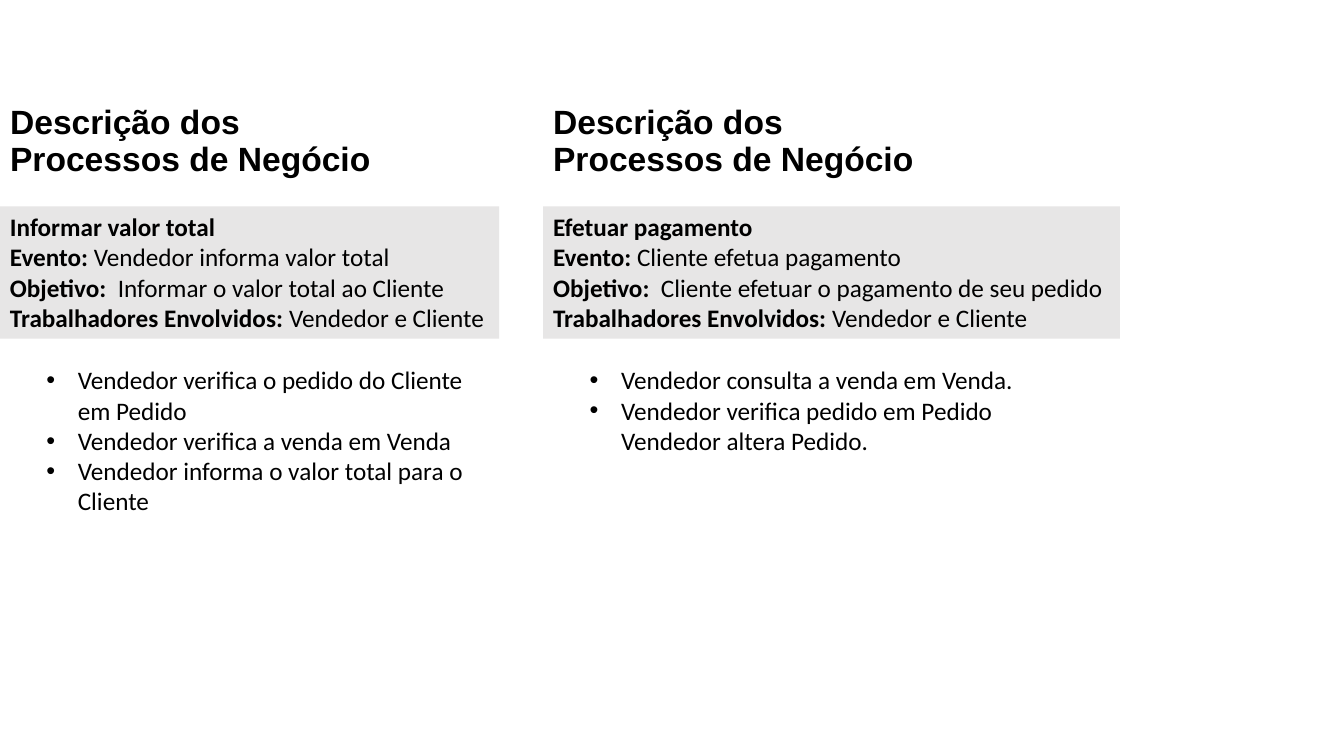
from dataclasses import dataclass

from lxml.etree import SubElement
from pptx import Presentation
from pptx.dml.color import RGBColor
from pptx.enum.shapes import MSO_SHAPE as Shape
from pptx.enum.text import MSO_ANCHOR as Anchor, MSO_AUTO_SIZE as AutoSize, PP_ALIGN as Align
from pptx.oxml.ns import qn
from pptx.util import Pt


@dataclass(frozen=True)
class Theme:
    ink: RGBColor = RGBColor(0x00, 0x00, 0x00)
    panel: RGBColor = RGBColor(0xE7, 0xE6, 0xE6)
    heading_font: str = "Arial"
    body_font: str = "Calibri"
    heading_size: Pt = Pt(24)
    body_size: Pt = Pt(18)


THEME = Theme()
HEADING = "Descrição dos\nProcessos de Negócio"
STEP_INDENT = Pt(22.5)

# Left edge, panel width, summary and steps of each process
PROCESSES = [
    {
        "left": 0,
        "panel_width": 356.5,
        "summary": [
            ("Informar valor total", ""),
            ("Evento: ", "Vendedor informa valor total"),
            ("Objetivo:  ", "Informar o valor total ao Cliente"),
            ("Trabalhadores Envolvidos: ", "Vendedor e Cliente"),
        ],
        "steps": [
            "Vendedor verifica o pedido do Cliente em Pedido",
            "Vendedor verifica a venda em Venda",
            "Vendedor informa o valor total para o Cliente",
        ],
        "steps_height": 138,
    },
    {
        "left": 388,
        "panel_width": 412,
        "summary": [
            ("Efetuar pagamento", ""),
            ("Evento: ", "Cliente efetua pagamento"),
            ("Objetivo:  ", "Cliente efetuar o pagamento de seu pedido"),
            ("Trabalhadores Envolvidos: ", "Vendedor e Cliente"),
        ],
        "steps": [
            "Vendedor consulta a venda em Venda.",
            "Vendedor verifica pedido em Pedido\nVendedor altera Pedido.",
        ],
        "steps_height": 73,
    },
]


def style_run(run, font, size, bold=False):
    run.font.name = font
    run.font.size = size
    run.font.bold = bold
    run.font.color.rgb = THEME.ink


def format_heading(heading, left):
    heading.left, heading.top = Pt(left), Pt(60)
    heading.width, heading.height = Pt(371.5), Pt(71)
    frame = heading.text_frame
    frame.word_wrap = True
    frame.auto_size = AutoSize.NONE
    frame.vertical_anchor = Anchor.BOTTOM
    paragraph = frame.paragraphs[0]
    paragraph.text = HEADING
    paragraph.alignment = Align.LEFT
    paragraph.line_spacing = 0.9
    for run in paragraph.runs:
        style_run(run, THEME.heading_font, THEME.heading_size, bold=True)


def add_summary(slide, left, width, lines):
    panel = slide.shapes.add_shape(Shape.RECTANGLE, Pt(left), Pt(147.5), Pt(width), Pt(94.5))
    panel.shadow.inherit = False
    panel.fill.solid()
    panel.fill.fore_color.rgb = THEME.panel
    panel.line.fill.background()
    frame = panel.text_frame
    frame.word_wrap = False
    frame.auto_size = AutoSize.SHAPE_TO_FIT_TEXT
    frame.vertical_anchor = Anchor.TOP
    frame.text = "\n".join(label for label, _ in lines)
    for paragraph, (_, detail) in zip(frame.paragraphs, lines):
        paragraph.alignment = Align.LEFT
        style_run(paragraph.runs[0], THEME.body_font, THEME.body_size, bold=True)
        if detail:
            detail_run = paragraph.add_run()
            detail_run.text = detail
            style_run(detail_run, THEME.body_font, THEME.body_size)


def add_bullet(paragraph):
    properties = paragraph._p.get_or_add_pPr()
    properties.set("marL", str(STEP_INDENT))
    properties.set("indent", str(-STEP_INDENT))
    SubElement(properties, qn("a:buFont"), typeface=THEME.heading_font)
    SubElement(properties, qn("a:buChar"), char="•")


def add_steps(slide, left, height, steps):
    box = slide.shapes.add_textbox(Pt(left), Pt(257), Pt(320), Pt(height))
    frame = box.text_frame
    frame.word_wrap = True
    frame.auto_size = AutoSize.SHAPE_TO_FIT_TEXT
    for index, step in enumerate(steps):
        paragraph = frame.add_paragraph() if index else frame.paragraphs[0]
        paragraph.text = step
        add_bullet(paragraph)
        for run in paragraph.runs:
            style_run(run, THEME.body_font, THEME.body_size)


def main():
    deck = Presentation()
    deck.slide_width, deck.slide_height = Pt(960), Pt(540)
    slide = deck.slides.add_slide(deck.slide_layouts[5])

    # One column per process; the first heading is the slide title
    for index, process in enumerate(PROCESSES):
        left = process["left"]
        heading = slide.shapes.add_textbox(0, 0, 0, 0) if index else slide.shapes.title
        format_heading(heading, left)
        add_summary(slide, left, process["panel_width"], process["summary"])
        add_steps(slide, left + 26, process["steps_height"], process["steps"])

    deck.save("out.pptx")


if __name__ == "__main__":
    main()
